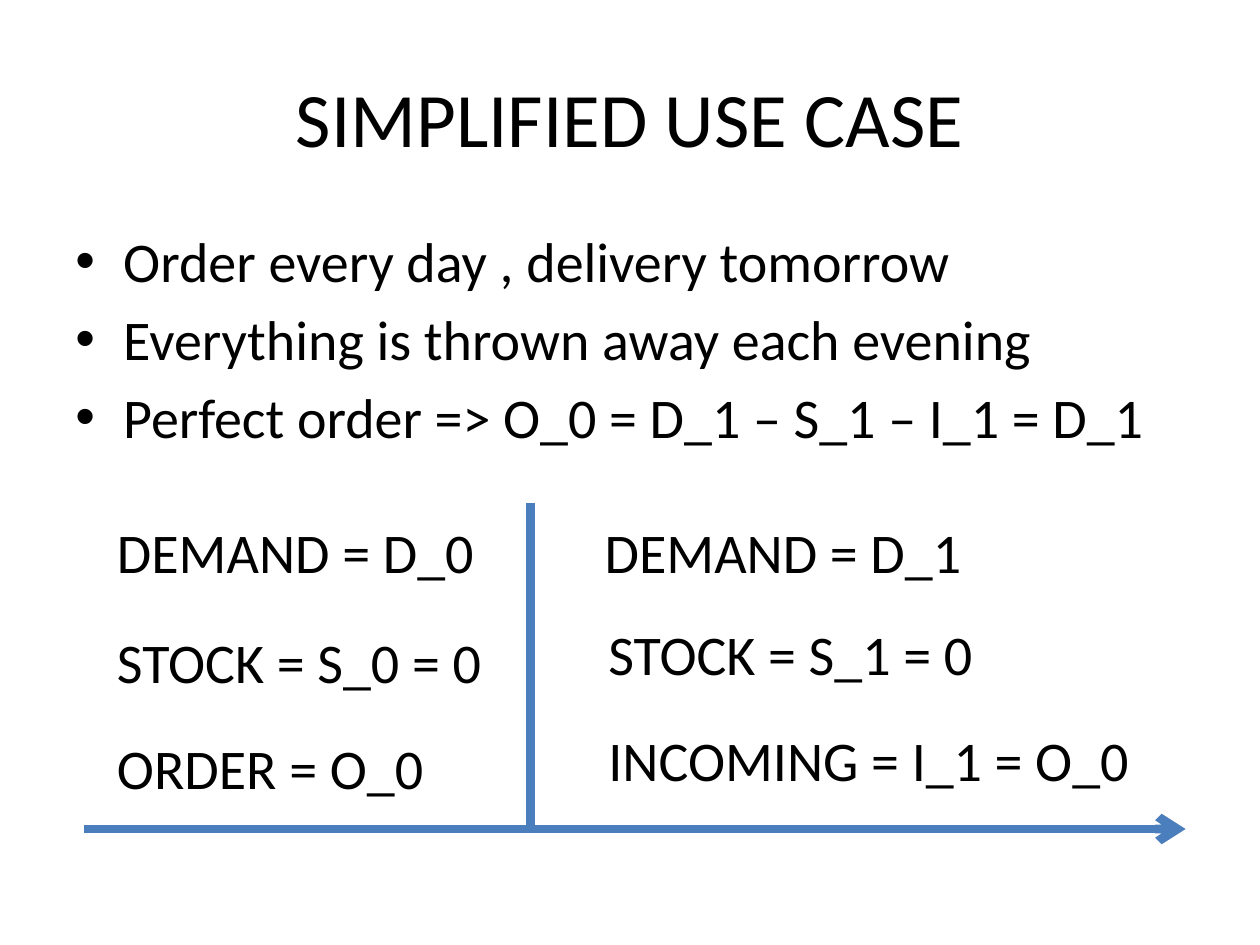
from dataclasses import dataclass

from lxml.etree import SubElement
from pptx import Presentation
from pptx.dml.color import RGBColor
from pptx.enum.shapes import MSO_CONNECTOR as Connector
from pptx.enum.text import MSO_ANCHOR as Anchor, MSO_AUTO_SIZE as AutoSize, PP_ALIGN as Align
from pptx.oxml.ns import qn
from pptx.util import Inches, Pt

WIDTH, HEIGHT = Inches(10), Inches(7.5)
FONT, INK, BLUE = "Calibri", "000000", "4B7EBC"


@dataclass(frozen=True)
class Text:
    """Box in percent of the slide's width and height."""
    lines: tuple[str, ...]
    left: float
    top: float
    width: float = 32.2
    height: float = 8.53
    size: int = 32
    align: Align = Align.LEFT
    anchor: Anchor = Anchor.TOP
    fit: AutoSize = AutoSize.SHAPE_TO_FIT_TEXT
    bulleted: bool = False


@dataclass(frozen=True)
class Line:
    """Ends in percent of the slide's width and height."""
    x1: float
    y1: float
    x2: float
    y2: float
    arrow: bool = False


def color(value: str) -> RGBColor:
    return RGBColor.from_string(value)


def across(share: float) -> int:
    return round(WIDTH * share / 100)


def down(share: float) -> int:
    return round(HEIGHT * share / 100)


def apply(target: object, values: dict) -> None:
    for name, value in values.items():
        setattr(target, name, value)


def add_bullet(paragraph) -> None:
    paragraph.space_before = Pt(6)
    properties = paragraph._p.get_or_add_pPr()
    indent = Inches(0.38)
    properties.set("marL", str(indent))
    properties.set("indent", str(-indent))
    SubElement(properties, qn("a:buFont")).set("typeface", "Arial")
    SubElement(properties, qn("a:buChar")).set("char", "•")


def draw_text(slide, text: Text) -> None:
    box = slide.shapes.add_textbox(across(text.left), down(text.top),
                                   across(text.width), down(text.height))
    frame = box.text_frame
    apply(frame, {"word_wrap": True, "auto_size": text.fit,
                  "vertical_anchor": text.anchor, "text": "\n".join(text.lines)})
    for paragraph in frame.paragraphs:
        paragraph.alignment = text.align
        if text.bulleted:
            add_bullet(paragraph)
        for run in paragraph.runs:
            apply(run.font, {"name": FONT, "size": Pt(text.size)})
            run.font.color.rgb = color(INK)


def draw_line(slide, line: Line) -> None:
    connector = slide.shapes.add_connector(
        Connector.STRAIGHT, across(line.x1), down(line.y1), across(line.x2), down(line.y2))
    connector.line.width = Pt(5)
    connector.line.color.rgb = color(BLUE)
    if line.arrow:
        SubElement(connector.line._get_or_add_ln(), qn("a:tailEnd")).set("type", "arrow")
    SubElement(connector._element.spPr, qn("a:effectLst"))


title = Text(("SIMPLIFIED USE CASE",), 5, 4, 90, 16.67, size=44,
             align=Align.CENTER, anchor=Anchor.MIDDLE, fit=AutoSize.NONE)
rules = Text(("Order every day , delivery tomorrow",
              "Everything is thrown away each evening",
              "Perfect order => O_0 = D_1 – S_1 – I_1 = D_1"),
             5, 23.33, 90, 66, fit=AutoSize.NONE, bulleted=True)

# Timeline and the border between the two days
TIMELINE, MIDNIGHT = 87.73, 42.1
lines = (Line(6.7, TIMELINE, 94.1, TIMELINE, arrow=True),
         Line(MIDNIGHT, 53.2, MIDNIGHT, TIMELINE))

# Quantities of today and tomorrow
today = (Text(("DEMAND = D_0",), 8.3, 54.13),
         Text(("STOCK = S_0 = 0",), 8.3, 65.73),
         Text(("ORDER = O_0",), 8.3, 76.93))
tomorrow = (Text(("DEMAND = D_1",), 47, 54.13),
            Text(("STOCK = S_1 = 0",), 47.3, 64.93),
            Text(("INCOMING = I_1 = O_0",), 47.3, 76.13, width=46.8))

deck = Presentation()
apply(deck, {"slide_width": WIDTH, "slide_height": HEIGHT})
use_case = deck.slides.add_slide(deck.slide_layouts[6])
for part in (title, rules):
    draw_text(use_case, part)
for part in lines:
    draw_line(use_case, part)
for part in tomorrow + today:
    draw_text(use_case, part)
deck.save("out.pptx")
